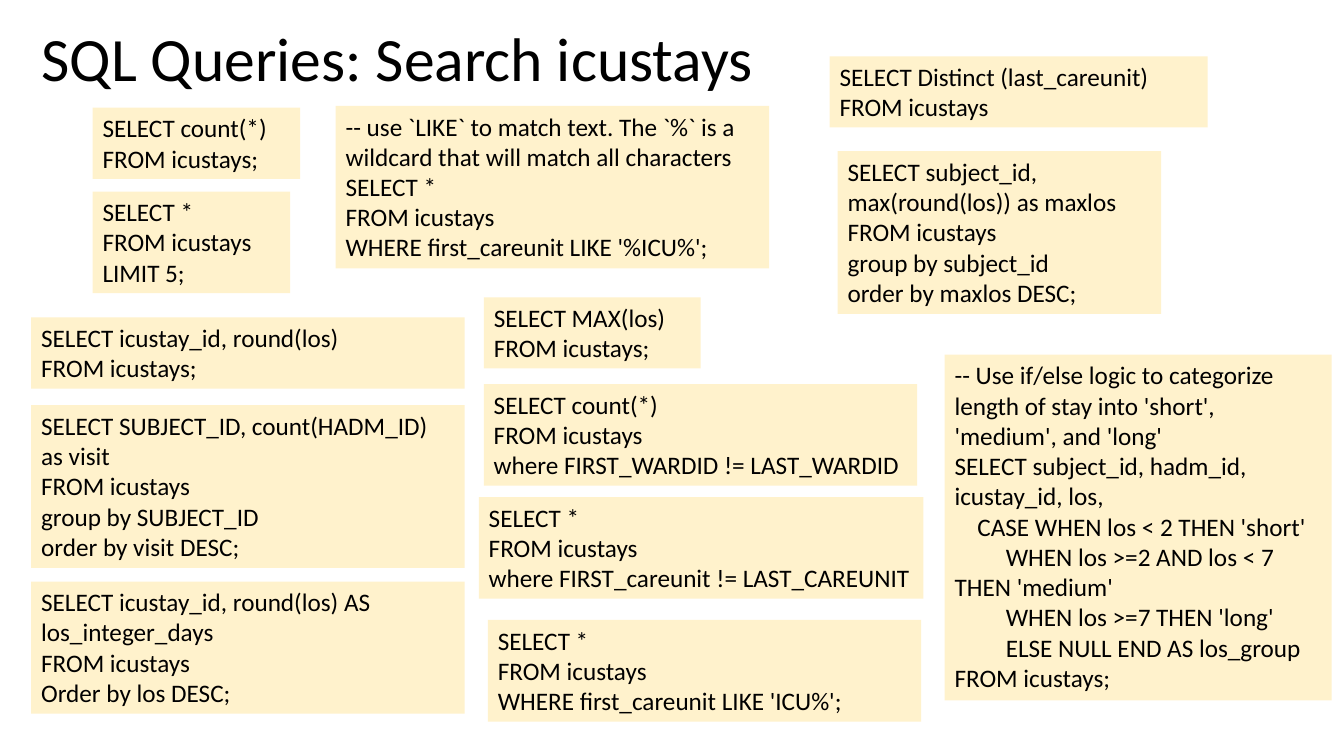
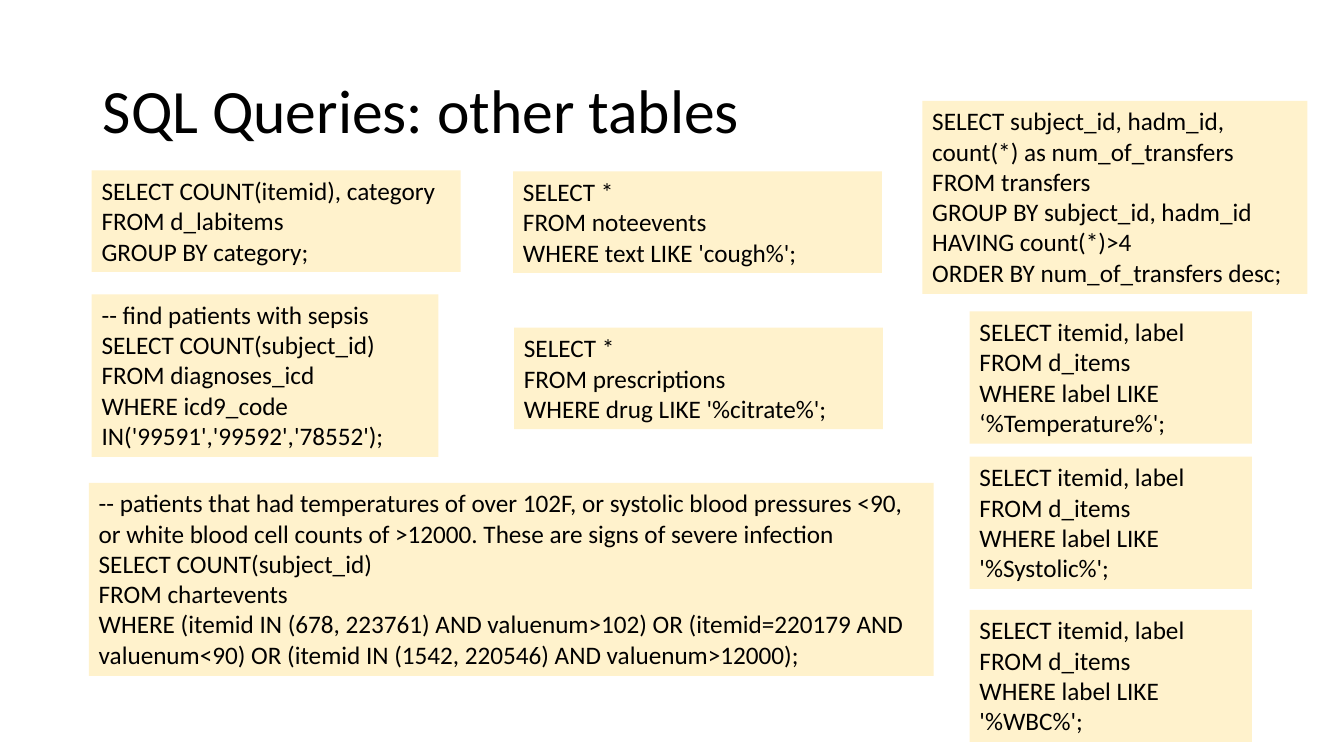
from dataclasses import dataclass

from pptx import Presentation
from pptx.dml.color import RGBColor
from pptx.enum.text import MSO_ANCHOR as Anchor, MSO_AUTO_SIZE as AutoSize, PP_ALIGN as Align
from pptx.util import Pt

COLORS = {"page": "FFFFFF", "text": "000000", "query": "FFF2CC"}
FONT = "Calibri"
TITLE_SIZE, QUERY_SIZE = 44, 18
LINE_HEIGHT, QUERY_PADDING = 21.8, 7.2
TITLE_ONLY = 5


@dataclass(frozen=True)
class Line:
    text: str
    indent: float = 0


@dataclass(frozen=True)
class Query:
    left: float
    top: float
    width: float
    rows: int  # lines as wrapped
    lines: tuple[str | Line, ...]

    @property
    def height(self) -> float:
        return self.rows * LINE_HEIGHT + QUERY_PADDING


@dataclass(frozen=True)
class QueryPage:
    title: str
    title_box: tuple[float, float, float, float]
    queries: tuple[Query, ...]


def color(name: str) -> RGBColor:
    return RGBColor.from_string(COLORS[name])


def write(para, text: str, *, size: float, indent: float = 0, spacing: float | None = None) -> None:
    para.alignment = Align.LEFT
    para.line_spacing = spacing
    if indent:
        para._p.get_or_add_pPr().set("indent", str(Pt(indent)))
    span = para.add_run()
    span.text = text
    span.font.name = FONT
    span.font.size = Pt(size)
    span.font.color.rgb = color("text")


def draw_title(page, text: str, bounds: tuple[float, float, float, float]) -> None:
    box = page.shapes.title
    box.left, box.top, box.width, box.height = map(Pt, bounds)
    frame = box.text_frame
    frame.auto_size = AutoSize.NONE
    frame.word_wrap = True
    frame.vertical_anchor = Anchor.MIDDLE
    write(frame.paragraphs[0], text, size=TITLE_SIZE, spacing=0.9)


def draw_query(page, query: Query) -> None:
    box = page.shapes.add_textbox(*map(Pt, (query.left, query.top, query.width, query.height)))
    box.fill.solid()
    box.fill.fore_color.rgb = color("query")
    frame = box.text_frame
    frame.word_wrap = True
    frame.auto_size = AutoSize.SHAPE_TO_FIT_TEXT
    for number, line in enumerate(query.lines):
        para = frame.add_paragraph() if number else frame.paragraphs[0]
        if isinstance(line, Line):
            write(para, line.text, size=QUERY_SIZE, indent=line.indent)
        else:
            write(para, line, size=QUERY_SIZE)


def draw_page(deck, content: QueryPage) -> None:
    page = deck.slides.add_slide(deck.slide_layouts[TITLE_ONLY])
    page.background.fill.solid()
    page.background.fill.fore_color.rgb = color("page")
    draw_title(page, content.title, content.title_box)
    for query in content.queries:
        draw_query(page, query)


# Column edges, widths and code indents
WIDE = 309.6
LEFT_COLUMN, MIDDLE_COLUMN = 22.3, 345.6
CASE_INDENT, WHEN_INDENT = 16.3, 36.6

ICUSTAYS = QueryPage("SQL Queries: Search icustays", (22.3, 4.3, 828, 79.2), (
    # Counting and sampling rows
    Query(66.2, 77, 148.3, 2, ("SELECT count(*)", "FROM icustays;")),
    Query(66.2, 136.8, 141.1, 3, ("SELECT *", "FROM icustays", "LIMIT 5;")),
    # Left column
    Query(LEFT_COLUMN, 226.8, WIDE, 2, ("SELECT icustay_id, round(los)", "FROM icustays;")),
    Query(LEFT_COLUMN, 289.4, WIDE, 5, (
        "SELECT SUBJECT_ID, count(HADM_ID) as visit",
        "FROM icustays",
        "group by SUBJECT_ID",
        "order by visit DESC;",
    )),
    Query(LEFT_COLUMN, 415.4, WIDE, 4, (
        "SELECT icustay_id, round(los) AS los_integer_days",
        "FROM icustays",
        "Order by los DESC;",
    )),
    # Middle column
    Query(239.8, 75.6, WIDE, 5, (
        "-- use `LIKE` to match text. The `%` is a wildcard that will match all characters",
        "SELECT *",
        "FROM icustays",
        "WHERE first_careunit LIKE '%ICU%';",
    )),
    Query(MIDDLE_COLUMN, 212.4, 154.8, 2, ("SELECT MAX(los)", "FROM icustays;")),
    Query(MIDDLE_COLUMN, 274.3, WIDE, 3, (
        "SELECT count(*)", "FROM icustays", "where FIRST_WARDID != LAST_WARDID",
    )),
    Query(342, 355, 317.5, 3, (
        "SELECT *", "FROM icustays", "where FIRST_careunit != LAST_CAREUNIT",
    )),
    Query(348.5, 442.8, WIDE, 3, (
        "SELECT *", "FROM icustays", "WHERE first_careunit LIKE 'ICU%';",
    )),
    # Right column
    Query(592.6, 40.3, 270, 2, ("SELECT Distinct (last_careunit)", "FROM icustays")),
    Query(598.3, 108, 231.1, 5, (
        "SELECT subject_id, max(round(los)) as maxlos",
        "FROM icustays",
        "group by subject_id",
        "order by maxlos DESC;",
    )),
    Query(674.8, 253.4, 276.5, 11, (
        "-- Use if/else logic to categorize length of stay into 'short', 'medium', and 'long'",
        "SELECT subject_id, hadm_id, icustay_id, los,",
        Line("CASE WHEN los < 2 THEN 'short'", CASE_INDENT),
        Line("WHEN los >=2 AND los < 7 THEN 'medium'", WHEN_INDENT),
        Line("WHEN los >=7 THEN 'long'", WHEN_INDENT),
        Line("ELSE NULL END AS los_group", WHEN_INDENT),
        "FROM icustays;",
    )),
))

LABEL_SEARCHES = ((222.5, "‘%Temperature%';"), (326.2, "'%Systolic%';"), (435.6, "'%WBC%';"))

OTHER_TABLES = QueryPage("SQL Queries: other tables", (66.2, 28.8, 828, 104.4), (
    # Lab items and diagnoses
    Query(65.5, 121.7, 263.5, 3, (
        "SELECT COUNT(itemid), category", "FROM d_labitems", "GROUP BY category;",
    )),
    Query(65.5, 210.2, 247.7, 5, (
        "-- find patients with sepsis",
        "SELECT COUNT(subject_id)",
        "FROM diagnoses_icd",
        "WHERE icd9_code",
        "IN('99591','99592','78552');",
    )),
    # Signs of infection
    Query(63.4, 344.9, 603.4, 6, (
        "-- patients that had temperatures of over 102F, or systolic blood pressures <90, "
        "or white blood cell counts of >12000. These are signs of severe infection",
        "SELECT COUNT(subject_id)",
        "FROM chartevents",
        "WHERE (itemid IN (678, 223761) AND valuenum>102) OR (itemid=220179 AND "
        "valuenum<90) OR (itemid IN (1542, 220546) AND valuenum>12000);",
    )),
    # Notes and prescriptions
    Query(366.5, 122.4, 263.5, 3, (
        "SELECT *", "FROM noteevents", "WHERE text LIKE 'cough%';",
    )),
    Query(367.2, 234, 263.5, 3, (
        "SELECT *", "FROM prescriptions", "WHERE drug LIKE '%citrate%';",
    )),
    # Transfers and item labels
    Query(658.8, 72, 275, 6, (
        "SELECT subject_id, hadm_id, count(*) as num_of_transfers",
        "FROM transfers",
        "GROUP BY subject_id, hadm_id",
        "HAVING count(*)>4",
        "ORDER BY num_of_transfers desc;",
    )),
    *(
        Query(692.6, top, 201.6, 4, (
            "SELECT itemid, label", "FROM d_items", f"WHERE label LIKE {pattern}",
        ))
        for top, pattern in LABEL_SEARCHES
    ),
))


def main() -> None:
    deck = Presentation()
    deck.slide_width, deck.slide_height = Pt(960), Pt(540)
    for content in (ICUSTAYS, OTHER_TABLES):
        draw_page(deck, content)
    deck.save("out.pptx")


if __name__ == "__main__":
    main()
